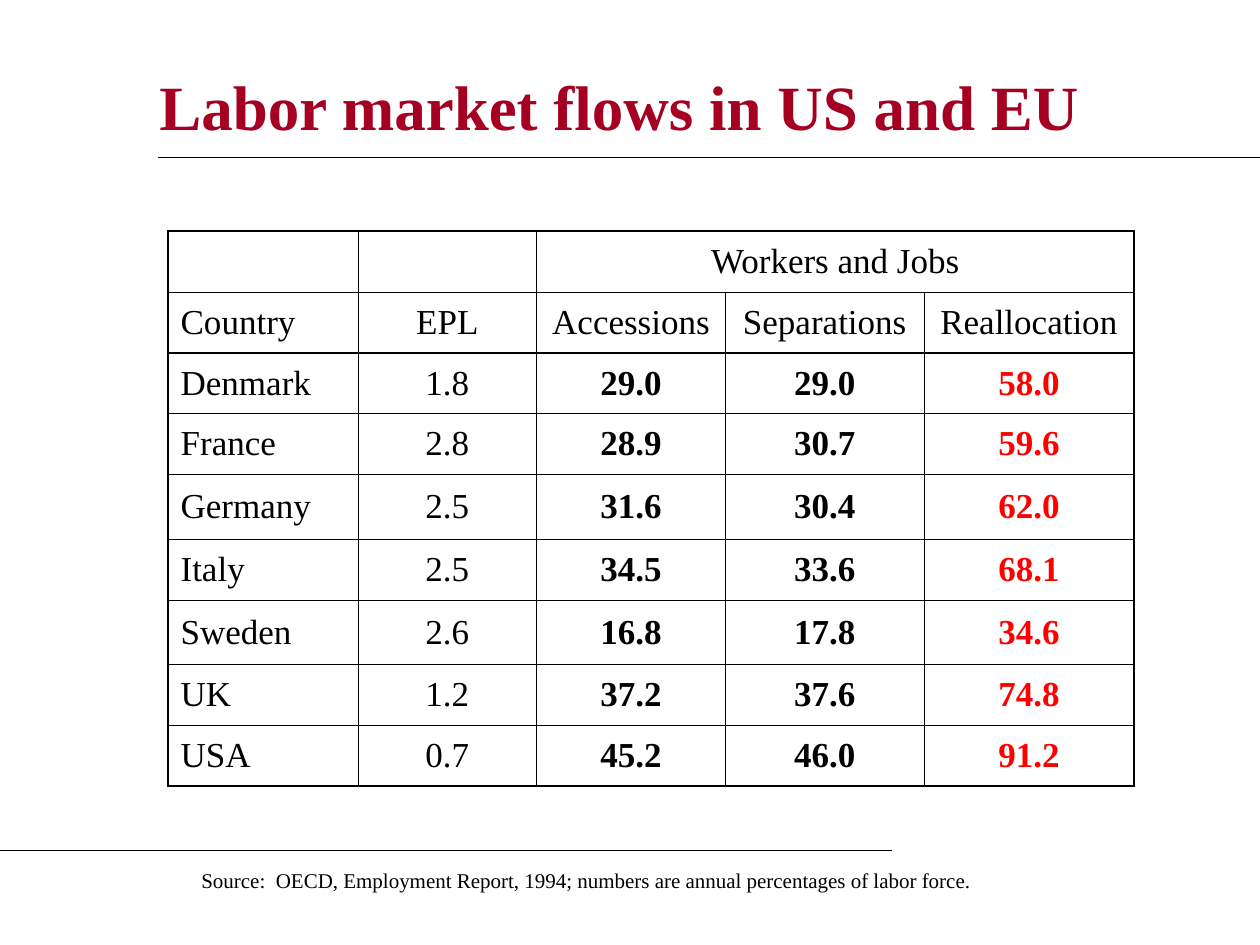
import pptx
import pptx.util
import pptx.dml.color
import pptx.enum.shapes
import pptx.enum.text
import pptx.oxml
import pptx.oxml.ns
from lxml import etree

ALIGN = pptx.enum.text.PP_ALIGN
MIDDLE = pptx.enum.text.MSO_ANCHOR.MIDDLE
FACE = "Times New Roman"
BLACK, RED, WINE = "000000", "FF0000", "A50021"
THIN, THICK = 0.45, 1.08

# Table content and track sizes, in grid units
ROWS = [
    ["", "", "Workers and Jobs", "", ""],
    ["Country", "EPL", "Accessions", "Separations", "Reallocation"],
    ["Denmark", "1.8", "29.0", "29.0", "58.0"],
    ["France", "2.8", "28.9", "30.7", "59.6"],
    ["Germany", "2.5", "31.6", "30.4", "62.0"],
    ["Italy", "2.5", "34.5", "33.6", "68.1"],
    ["Sweden", "2.6", "16.8", "17.8", "34.6"],
    ["UK", "1.2", "37.2", "37.6", "74.8"],
    ["USA", "0.7", "45.2", "46.0", "91.2"],
]
WIDE = [18.1, 17, 18, 18.9, 20]
TALL = {"Germany": 6.2, "Sweden": 6.1}
HEADS = 2
LAST = len(WIDE) - 1


def grid(*units):
    """Turn grid units, twelve to the inch, into lengths."""
    return [pptx.util.Inches(unit / 12) for unit in units]


def shade(hue):
    return pptx.dml.color.RGBColor.from_string(hue)


def write(frame, text, hue=BLACK, align=ALIGN.LEFT, **form):
    para = frame.paragraphs[0]
    para.alignment = align
    run = para.add_run()
    run.text = text
    run.font.color.rgb = shade(hue)
    for name, value in {"name": FACE, "bold": False, **form}.items():
        setattr(run.font, name, value)


def label(slide, box, text, anchor, **form):
    frame = slide.shapes.add_textbox(*grid(*box)).text_frame
    frame.word_wrap = True
    frame.vertical_anchor = anchor
    write(frame, text, **form)


def rule(slide, left, right, y):
    line = slide.shapes.add_connector(
        pptx.enum.shapes.MSO_CONNECTOR.STRAIGHT, *grid(left, y, right, y))
    line.line.color.rgb = shade(BLACK)
    line.line.width = pptx.util.Pt(0.75)
    etree.SubElement(line._element.spPr, pptx.oxml.ns.qn("a:effectLst"))


def border(cell, sides):
    props = cell._tc.get_or_add_tcPr()
    for place, (side, size) in enumerate(sides.items()):
        edge = pptx.oxml.parse_xml(
            f'<a:ln{side} {pptx.oxml.ns.nsdecls("a")} w="{pptx.util.Pt(size)}">'
            f'<a:solidFill><a:srgbClr val="{BLACK}"/></a:solidFill></a:ln{side}>')
        props.insert(place, edge)


def weigh(row, col):
    """Thick lines frame the table and close its heading."""
    end = col == LAST or (row == 0 and col >= 2)
    heavy = {
        "L": col == 0,
        "R": end,
        "T": row in (0, HEADS),
        "B": row in (HEADS - 1, len(ROWS) - 1),
    }
    return {side: THICK if on else THIN for side, on in heavy.items()}


def flows(slide, left, top):
    high = [TALL.get(row[0], 5.8) for row in ROWS]
    table = slide.shapes.add_table(
        len(ROWS), len(WIDE), *grid(left, top, sum(WIDE), sum(high))).table
    for flag in ("first_row", "horz_banding"):
        setattr(table, flag, False)
    for track, size in zip(table.columns, grid(*WIDE)):
        track.width = size
    for track, size in zip(table.rows, grid(*high)):
        track.height = size
    table.cell(0, 2).merge(table.cell(0, LAST))

    for r, row in enumerate(ROWS):
        for c, text in enumerate(row):
            cell = table.cell(r, c)
            cell.fill.background()
            cell.vertical_anchor = MIDDLE
            border(cell, weigh(r, c))
            if text:
                data = r >= HEADS
                write(cell.text_frame, text,
                      hue=RED if data and c == LAST else BLACK,
                      align=ALIGN.CENTER if c else ALIGN.LEFT,
                      size=pptx.util.Pt(20), bold=data and c >= 2)


def main():
    deck = pptx.Presentation()
    deck.slide_width, deck.slide_height = grid(120, 90)
    slide = deck.slides.add_slide(deck.slide_layouts[6])

    # Heading and rules
    label(slide, (14, 3, 102, 14), "Labor market flows in US and EU", MIDDLE,
          hue=WINE, size=pptx.util.Pt(36), bold=True)
    rule(slide, 15, 120, 15)
    rule(slide, 0, 85, 81)

    # Figures by country
    flows(slide, 16, 22)

    # Source note
    label(slide, (18, 82, 77, 3.6),
          "Source:  OECD, Employment Report, 1994; "
          "numbers are annual percentages of labor force.",
          pptx.enum.text.MSO_ANCHOR.TOP, size=pptx.util.Pt(12))

    deck.save("out.pptx")


if __name__ == "__main__":
    main()
